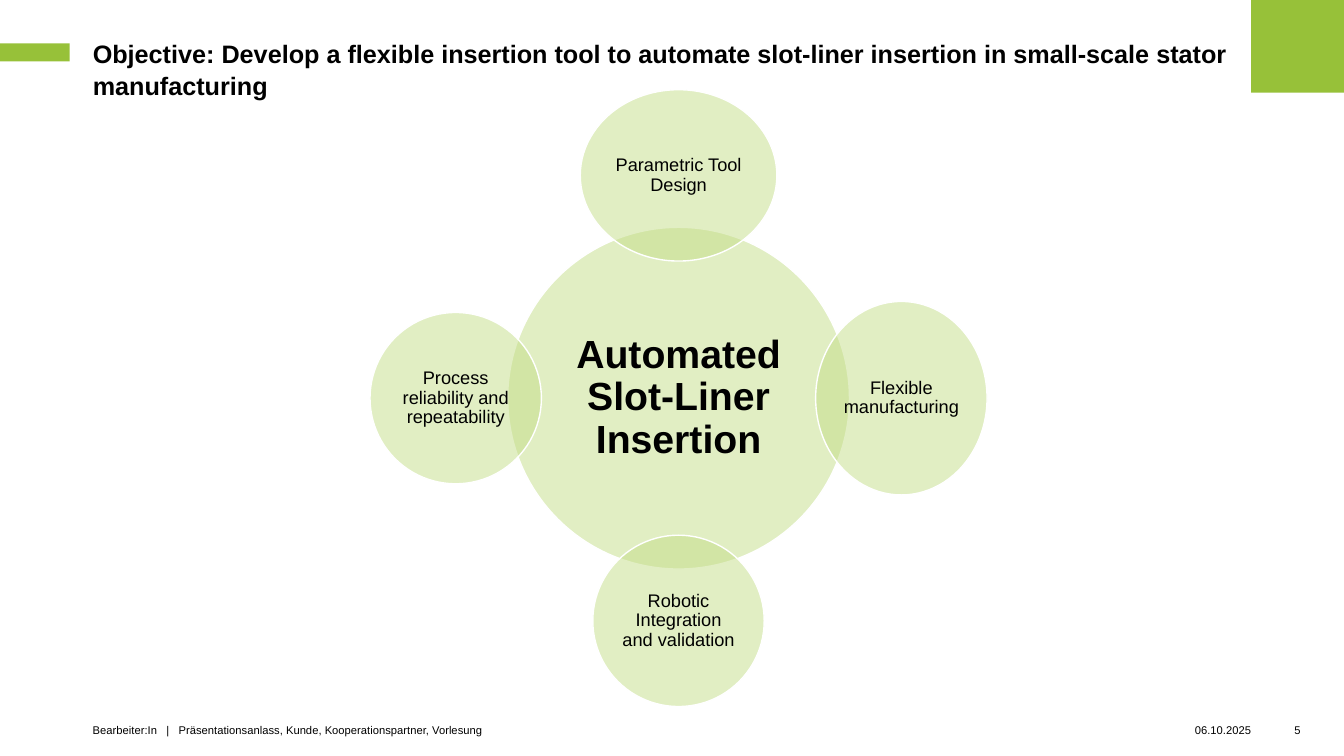
"""Build the slide on automated slot-liner insertion."""
from dataclasses import dataclass

from lxml.etree import SubElement
from pptx import Presentation
from pptx.dml.color import RGBColor
from pptx.enum.shapes import MSO_SHAPE
from pptx.enum.text import MSO_ANCHOR, MSO_AUTO_SIZE, PP_ALIGN
from pptx.oxml.ns import qn
from pptx.shapes.autoshape import Shape
from pptx.slide import Slide
from pptx.util import Inches, Pt

GREEN, PALE_GREEN, WHITE, BLACK = "97C139", "C5DE89", "FFFFFF", "000000"
MARGIN = 0.92
CENTER_X, CENTER_Y = 6.73, 3.95
ORBIT = 2.21


@dataclass(frozen=True)
class Circle:
    label: str
    dx: float
    dy: float
    width: float
    height: float
    size: int = 13
    bold: bool = False
    inset: float = 0.02


@dataclass(frozen=True)
class FooterItem:
    label: str
    left: float
    width: float
    align: PP_ALIGN


CIRCLES = [
    Circle("Automated Slot-Liner Insertion", 0, 0, 3.39, 3.39, 28, True, 0.04),
    Circle("Parametric Tool Design", 0, -ORBIT, 1.95, 1.7),
    Circle("Flexible manufacturing", ORBIT, 0, 1.7, 1.92),
    Circle("Robotic Integration and validation", 0, ORBIT, 1.7, 1.7),
    Circle("Process reliability and repeatability", -ORBIT, 0, 1.7, 1.7),
]
FOOTER = [
    FooterItem("Bearbeiter:In   |   Präsentationsanlass, Kunde, Kooperationspartner, Vorlesung",
               MARGIN, 9.73, PP_ALIGN.LEFT),
    FooterItem("06.10.2025", 10.65, 1.76, PP_ALIGN.RIGHT),
    FooterItem("5", 12.41, MARGIN, PP_ALIGN.CENTER),
]


def color(value: str) -> RGBColor:
    return RGBColor.from_string(value)


def write(box: Shape, label: str, size: int, align: PP_ALIGN, bold: bool = False,
          inset: float = 0, anchor: MSO_ANCHOR = MSO_ANCHOR.TOP,
          spacing: float = 1.0) -> None:
    frame = box.text_frame
    frame.text = label
    frame.word_wrap = True
    frame.auto_size = MSO_AUTO_SIZE.NONE
    frame.vertical_anchor = anchor
    frame.margin_left = frame.margin_right = Inches(inset)
    frame.margin_top = frame.margin_bottom = Inches(inset)
    paragraph = frame.paragraphs[0]
    paragraph.alignment = align
    paragraph.line_spacing = spacing
    font = paragraph.runs[0].font
    font.name, font.size, font.bold = "Arial", Pt(size), bold
    font.color.rgb = color(BLACK)


def add_filled(slide: Slide, kind: MSO_SHAPE, left: float, top: float,
               width: float, height: float, fill: str) -> Shape:
    shape = slide.shapes.add_shape(kind, Inches(left), Inches(top),
                                   Inches(width), Inches(height))
    shape.shadow.inherit = False
    shape.fill.solid()
    shape.fill.fore_color.rgb = color(fill)
    shape.line.fill.background()
    return shape


def add_circle(slide: Slide, circle: Circle) -> None:
    oval = add_filled(slide, MSO_SHAPE.OVAL,
                      CENTER_X + circle.dx - circle.width / 2,
                      CENTER_Y + circle.dy - circle.height / 2,
                      circle.width, circle.height, PALE_GREEN)
    fill_color = oval.fill._xPr.find(qn("a:solidFill"))[0]
    SubElement(fill_color, qn("a:alpha"), val="50000")
    oval.line.color.rgb = color(WHITE)
    oval.line.width = Pt(1)
    write(oval, circle.label, circle.size, PP_ALIGN.CENTER, circle.bold,
          circle.inset, MSO_ANCHOR.MIDDLE, 0.9)


def add_footer(slide: Slide, item: FooterItem) -> None:
    box = slide.shapes.add_textbox(Inches(item.left), Inches(7.18),
                                   Inches(item.width), Inches(0.14))
    write(box, item.label, 8, item.align)


def main() -> None:
    deck = Presentation()
    deck.slide_width, deck.slide_height = Inches(13.33), Inches(7.5)
    slide = deck.slides.add_slide(deck.slide_layouts[5])

    add_filled(slide, MSO_SHAPE.RECTANGLE, 12.41, 0, MARGIN, MARGIN, GREEN)
    add_filled(slide, MSO_SHAPE.RECTANGLE, 0, 0.43, 0.69, 0.18, GREEN)

    title = slide.shapes.title
    title.left, title.top = Inches(MARGIN), Inches(0.36)
    title.width, title.height = Inches(11.27), Inches(0.55)
    write(title, "Objective: Develop a flexible insertion tool to automate "
          "slot-liner insertion in small-scale stator manufacturing",
          18, PP_ALIGN.LEFT, bold=True, spacing=1.07)

    for circle in CIRCLES:
        add_circle(slide, circle)
    for item in FOOTER:
        add_footer(slide, item)
    deck.save("out.pptx")


if __name__ == "__main__":
    main()
